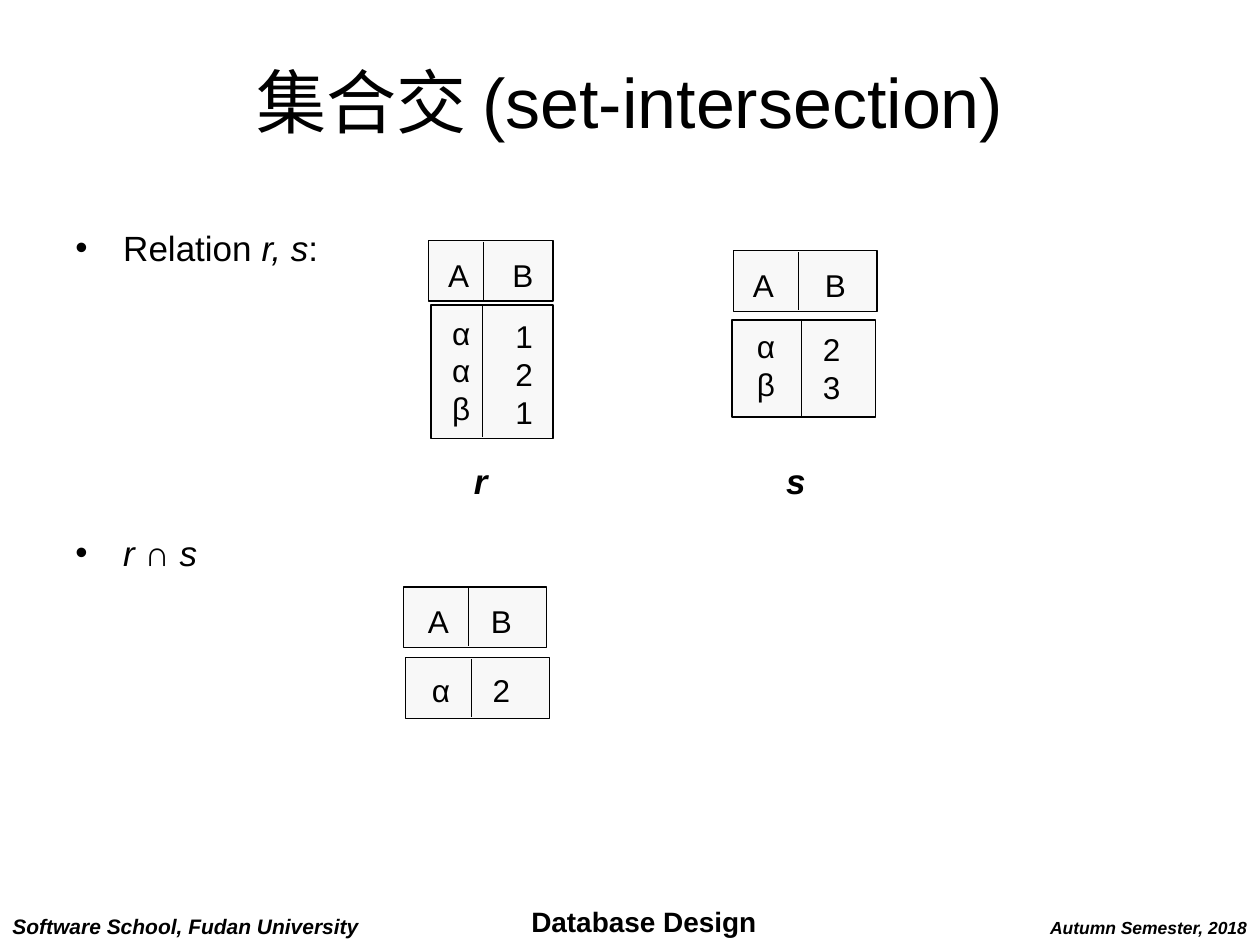
from dataclasses import dataclass

import pptx
import pptx.dml.color
import pptx.enum.shapes
import pptx.enum.text
import pptx.oxml
import pptx.util
from pptx.util import Inches

BLACK = pptx.dml.color.RGBColor(0x00, 0x00, 0x00)
CELL_FILL = pptx.dml.color.RGBColor(0xF8, 0xF8, 0xF8)
FONT = "Arial"
LINE_WIDTH = pptx.util.Pt(0.75)
CENTER = pptx.enum.text.PP_ALIGN.CENTER
LEFT = pptx.enum.text.PP_ALIGN.LEFT
COLUMN_WIDTH = 0.4
DIVIDER_INSET = 0.01


@dataclass
class Column:
    """One column of values: its centre, its top and its lines."""
    center: float
    top: float
    values: list[str]


@dataclass
class Block:
    """A header or body box, split by a divider into two columns."""
    left: float
    top: float
    width: float
    height: float
    divider: float
    columns: list[Column]


@dataclass
class Label:
    text: str
    left: float
    top: float
    width: float
    height: float
    size: int
    italic: bool = True
    alignment: pptx.enum.text.PP_ALIGN = CENTER


def header(left: float, top: float, width: float, divider: float,
           centers: tuple[float, float]) -> Block:
    columns = [Column(center, top + 0.07, [name])
               for center, name in zip(centers, "AB")]
    return Block(left, top, width, 0.48, divider, columns)


BLOCKS = [
    # Relation r
    header(3.4, 1.91, 0.99, 3.84, (3.64, 4.15)),
    Block(3.42, 2.42, 0.97, 1.06, 3.83,
          [Column(3.66, 2.44, ["α", "α", "β"]), Column(4.16, 2.47, ["1", "2", "1"])]),
    # Relation s
    header(5.82, 1.99, 1.14, 6.34, (6.06, 6.63)),
    Block(5.81, 2.54, 1.14, 0.77, 6.36,
          [Column(6.08, 2.55, ["α", "β"]), Column(6.6, 2.57, ["2", "3"])]),
    # Intersection
    header(3.2, 4.66, 1.14, 3.72, (3.48, 3.98)),
    Block(3.22, 5.22, 1.14, 0.48, 3.74,
          [Column(3.5, 5.28, ["α"]), Column(3.98, 5.28, ["2"])]),
]

LABELS = [
    # Footer
    Label("Autumn Semester, 2018", 8.23, 7.23, 1.77, 0.27, 10),
    Label("Database Design", 4.06, 7.13, 2.1, 0.37, 16, italic=False),
    Label("Software School, Fudan University", 0, 7.2, 2.95, 0.3, 12, alignment=LEFT),
    # Relation names
    Label("r", 3.66, 3.6, 0.31, 0.44, 20),
    Label("s", 6.14, 3.6, 0.35, 0.44, 20),
]

# Each bullet: space before in points, then (text, italic) runs
BULLETS = [
    (0, [("Relation ", False), ("r, s", True), (":", False)]),
    (150, [("r ", True), ("∩ ", False), ("s", True)]),
]


def format_run(run, size: float, bold: bool = False, italic: bool = False) -> None:
    run.font.name = FONT
    run.font.size = pptx.util.Pt(size)
    run.font.bold = bold
    run.font.italic = italic
    run.font.color.rgb = BLACK


def add_text(slide, text: str, left: float, top: float, width: float, height: float,
             size: float, bold: bool = False, italic: bool = False,
             alignment=CENTER) -> None:
    shape = slide.shapes.add_textbox(Inches(left), Inches(top),
                                     Inches(width), Inches(height))
    shape.text_frame.word_wrap = False
    shape.text_frame.auto_size = pptx.enum.text.MSO_AUTO_SIZE.SHAPE_TO_FIT_TEXT
    shape.text_frame.text = text
    for paragraph in shape.text_frame.paragraphs:
        paragraph.alignment = alignment
        for run in paragraph.runs:
            format_run(run, size, bold, italic)


def add_block(slide, block: Block) -> None:
    box = slide.shapes.add_shape(
        pptx.enum.shapes.MSO_SHAPE.RECTANGLE, Inches(block.left), Inches(block.top),
        Inches(block.width), Inches(block.height))
    box.shadow.inherit = False
    box.fill.solid()
    box.fill.fore_color.rgb = CELL_FILL
    box.line.color.rgb = BLACK
    box.line.width = LINE_WIDTH

    divider = slide.shapes.add_connector(
        pptx.enum.shapes.MSO_CONNECTOR.STRAIGHT,
        Inches(block.divider), Inches(block.top + DIVIDER_INSET),
        Inches(block.divider), Inches(block.top + block.height - DIVIDER_INSET))
    divider.line.color.rgb = BLACK
    divider.line.width = LINE_WIDTH
    properties = divider._element.spPr
    properties.append(pptx.oxml.xmlchemy.OxmlElement("a:effectLst"))

    for column in block.columns:
        add_text(slide, "\n".join(column.values), column.center - COLUMN_WIDTH / 2,
                 column.top, COLUMN_WIDTH, 0.1 + 0.3 * len(column.values), 18)


def add_bullets(slide) -> None:
    shape = slide.shapes.add_textbox(Inches(0.5), Inches(1.75), Inches(9), Inches(4.95))
    text_frame = shape.text_frame
    text_frame.word_wrap = True
    for index, (space_before, parts) in enumerate(BULLETS):
        paragraph = text_frame.add_paragraph() if index else text_frame.paragraphs[0]
        properties = paragraph._p.get_or_add_pPr()
        properties.set("marL", str(Inches(0.38)))
        properties.set("indent", str(-Inches(0.38)))
        for tag, name, value in (("a:buFont", "typeface", FONT), ("a:buChar", "char", "•")):
            element = pptx.oxml.xmlchemy.OxmlElement(tag)
            element.set(name, value)
            properties.append(element)
        paragraph.space_before = pptx.util.Pt(space_before)
        paragraph.font.size = pptx.util.Pt(20)
        for text, italic in parts:
            run = paragraph.add_run()
            run.text = text
            format_run(run, 20, italic=italic)


def add_title(slide) -> None:
    title = slide.shapes.title
    title.left, title.top = Inches(0.5), Inches(0.17)
    title.width, title.height = Inches(9), Inches(1.25)
    title.text_frame.text = "集合交 (set-intersection)"
    title.text_frame.vertical_anchor = pptx.enum.text.MSO_ANCHOR.MIDDLE
    paragraph = title.text_frame.paragraphs[0]
    paragraph.alignment = CENTER
    format_run(paragraph.runs[0], 40)


def main() -> None:
    presentation = pptx.Presentation()
    presentation.slide_width = Inches(10)
    presentation.slide_height = Inches(7.5)
    slide = presentation.slides.add_slide(presentation.slide_layouts[5])

    add_title(slide)
    add_bullets(slide)
    for block in BLOCKS:
        add_block(slide, block)
    for label in LABELS:
        add_text(slide, label.text, label.left, label.top, label.width, label.height,
                 label.size, bold=True, italic=label.italic, alignment=label.alignment)

    presentation.save("out.pptx")


if __name__ == "__main__":
    main()
